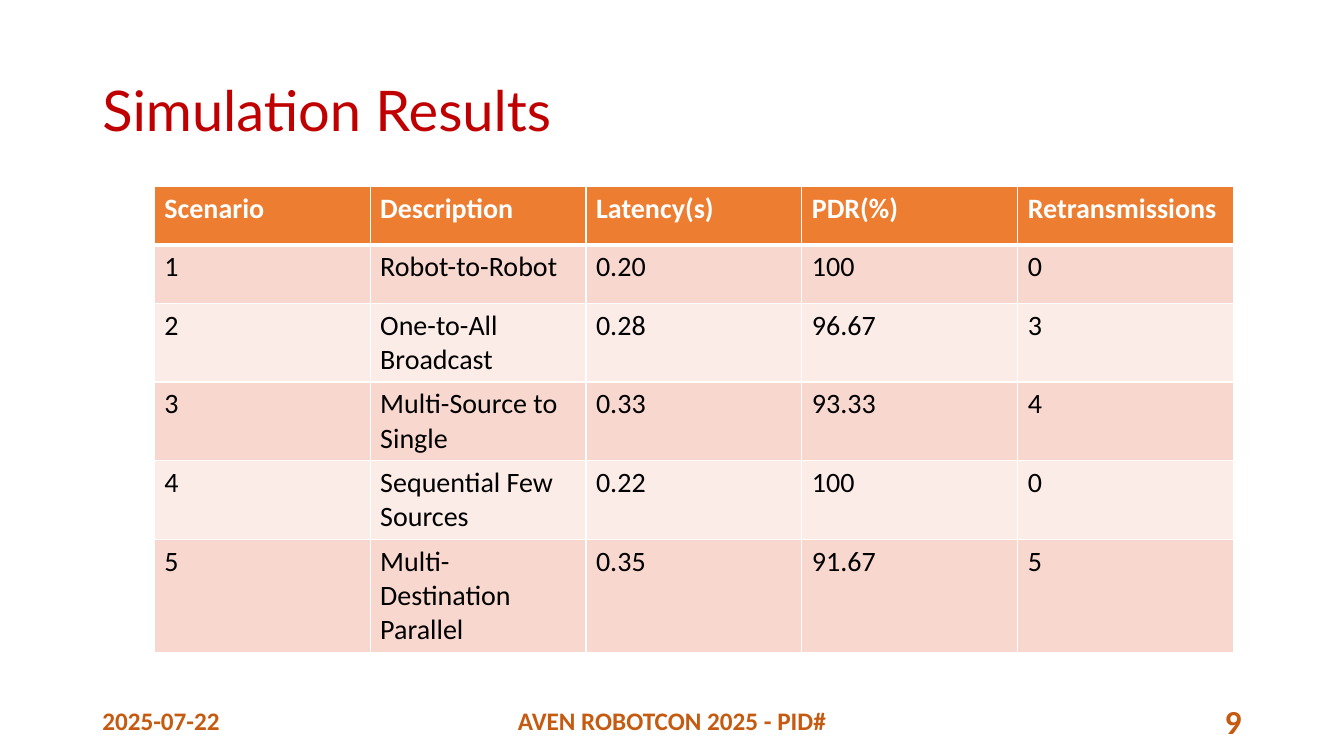
from lxml import etree
from pptx import Presentation
from pptx.dml.color import RGBColor
from pptx.enum import text as t
from pptx.oxml import ns
from pptx.util import Pt

COLORS = {
    "title": "C00000",
    "footer": "C55A11",
    "header": "ED7D31",
    "odd_row": "F8D7CE",
    "even_row": "FCECE8",
    "white": "FFFFFF",
    "black": "000000",
}
RESULTS = [
    ("Scenario", "Description", "Latency(s)", "PDR(%)", "Retransmissions"),
    ("1", "Robot-to-Robot", "0.20", "100", "0"),
    ("2", "One-to-All Broadcast", "0.28", "96.67", "3"),
    ("3", "Multi-Source to Single", "0.33", "93.33", "4"),
    ("4", "Sequential Few Sources", "0.22", "100", "0"),
    ("5", "Multi-Destination Parallel", "0.35", "91.67", "5"),
]


def write(frame, words, size, color, font="Calibri", bold=False,
          align=t.PP_ALIGN.LEFT):
    paragraph = frame.paragraphs[0]
    paragraph.alignment = align
    run = paragraph.add_run()
    run.text = words
    run.font.size = Pt(size)
    run.font.name = font
    run.font.bold = bold
    run.font.color.rgb = RGBColor.from_string(COLORS[color])
    return paragraph


def add_title(slide, left, top, width, height):
    title = slide.shapes.title
    title.left, title.top = Pt(left), Pt(top)
    title.width, title.height = Pt(width), Pt(height)
    frame = title.text_frame
    frame.word_wrap = True
    frame.auto_size = t.MSO_AUTO_SIZE.NONE
    frame.vertical_anchor = t.MSO_ANCHOR.MIDDLE
    write(frame, "Simulation Results", 40, "title", "Lato").line_spacing = 0.9


def add_border(cell, side, width):
    """Draw a white line on one side; sides must come in the order L, R, T, B."""
    line = etree.SubElement(cell._tc.get_or_add_tcPr(), ns.qn(f"a:ln{side}"),
                            w=str(Pt(width)))
    fill = etree.SubElement(line, ns.qn("a:solidFill"))
    etree.SubElement(fill, ns.qn("a:srgbClr"), val=COLORS["white"])


def add_results(slide, left, top, width, height):
    rows, columns = len(RESULTS), len(RESULTS[0])
    table = slide.shapes.add_table(rows, columns, Pt(left), Pt(top),
                                   Pt(width), Pt(height)).table
    for row, values in enumerate(RESULTS):
        is_header = row == 0
        fill = "header" if is_header else "odd_row" if row % 2 else "even_row"
        for column, value in enumerate(values):
            cell = table.cell(row, column)
            write(cell.text_frame, value, 20,
                  "white" if is_header else "black", bold=is_header)
            for side in "LRTB":
                below_header = (row, side) in ((0, "B"), (1, "T"))
                add_border(cell, side, 3 if below_header else 1)
            cell.fill.solid()
            cell.fill.fore_color.rgb = RGBColor.from_string(COLORS[fill])


def add_footer(slide, left, top, width, height):
    side_width, center_width = 216, 324
    parts = [
        ("2025-07-22", left, side_width, 18, t.PP_ALIGN.LEFT),
        ("AVEN ROBOTCON 2025 - PID#", left + (width - center_width) / 2,
         center_width, 18, t.PP_ALIGN.CENTER),
        ("9", left + width - side_width, side_width, 24, t.PP_ALIGN.RIGHT),
    ]
    for words, part_left, part_width, size, align in parts:
        frame = slide.shapes.add_textbox(Pt(part_left), Pt(top), Pt(part_width),
                                         Pt(height)).text_frame
        frame.word_wrap = True
        frame.vertical_anchor = t.MSO_ANCHOR.MIDDLE
        write(frame, words, size, "footer", bold=True, align=align)


def main():
    deck = Presentation()
    deck.slide_width, deck.slide_height = Pt(960), Pt(540)
    slide = deck.slides.add_slide(deck.slide_layouts.get_by_name("Title Only"))
    add_title(slide, 66, 28.75, 828, 104.4)
    add_results(slide, 110.2, 133.2, 771, 250.6)
    add_footer(slide, 66, 500.5, 828, 28.75)
    deck.save("out.pptx")


if __name__ == "__main__":
    main()
